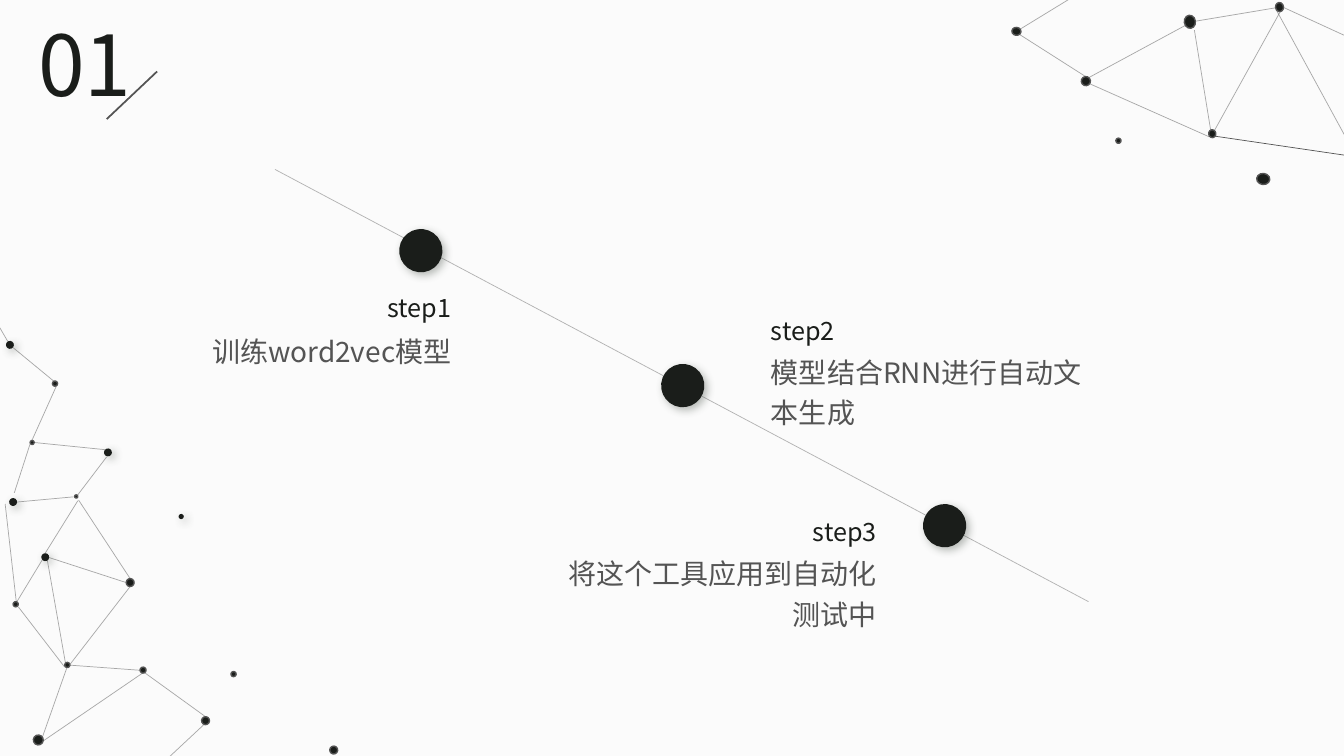
from lxml import etree
from pptx import Presentation
from pptx.dml.color import RGBColor
from pptx.enum.shapes import MSO_CONNECTOR, MSO_SHAPE
from pptx.enum.text import MSO_ANCHOR, MSO_AUTO_SIZE, PP_ALIGN
from pptx.oxml import parse_xml
from pptx.oxml.ns import qn
from pptx.util import Cm, Pt

PAPER = RGBColor(0xFB, 0xFB, 0xFB)
INK = RGBColor(0x1A, 0x1D, 0x1A)
GRAY = RGBColor(0x54, 0x54, 0x54)
FONT = "Noto Sans CJK SC"
SHADOW = (
    '<a:effectLst xmlns:a="http://schemas.openxmlformats.org/drawingml/2006/main">'
    '<a:outerShdw blurRad="76200" dist="38100" dir="2700000" algn="tl" rotWithShape="0">'
    '<a:srgbClr val="505950"><a:alpha val="40000"/></a:srgbClr>'
    '</a:outerShdw></a:effectLst>'
)

prs = Presentation()
prs.slide_width, prs.slide_height = Cm(33.87), Cm(19.05)
slide = prs.slides.add_slide(prs.slide_layouts[5])
slide.background.fill.solid()
slide.background.fill.fore_color.rgb = PAPER
shapes = slide.shapes


def add_line(x1, y1, x2, y2, width=0.5, opacity=100):
    line = shapes.add_connector(MSO_CONNECTOR.STRAIGHT, Cm(x1), Cm(y1), Cm(x2), Cm(y2))
    line.line.width = Pt(width)
    line.line.color.rgb = GRAY
    spPr = line._element.spPr
    if opacity < 100:
        color = spPr.find(".//" + qn("a:srgbClr"))
        etree.SubElement(color, qn("a:alpha"), val=str(opacity * 1000))
    etree.SubElement(spPr, qn("a:effectLst"))


def add_dot(x, y, w, h, rotation=186.2, shadow=False):
    """Draw a dark dot with either a soft shadow or a gray outline."""
    sp = shapes.add_shape(MSO_SHAPE.OVAL, Cm(x), Cm(y), Cm(w), Cm(h))
    sp.rotation = rotation
    sp.fill.solid()
    sp.fill.fore_color.rgb = INK
    if shadow:
        sp.line.fill.background()
        sp._element.spPr.append(parse_xml(SHADOW))
    else:
        sp.shadow.inherit = False
        sp.line.color.rgb = GRAY
        sp.line.width = Pt(1)


# Timeline with its three stops
add_line(6.93, 4.27, 27.43, 15.16, opacity=43)
for i, y in enumerate((5.77, 9.17, 12.7)):
    add_dot(10.06 + 6.6 * i, y, 1.09, 1.09, shadow=True)

# Network in the top right corner
add_line(34.09, 3.94, 30.61, 3.43)
right_links = [
    (30.15, 0.53, 32.13, 0.2), (34.77, 1.3, 32.33, 0.18),
    (34.24, 4.06, 32.18, 0.28), (32.26, 0.3, 30.61, 3.28),
    (30.51, 3.28, 30.1, 0.76), (27.43, 1.96, 30.02, 0.56),
    (27.46, 2.11, 30.48, 3.45), (25.68, 0.86, 27.36, 1.93),
    (25.7, 0.74, 27.58, -0.41),
]
right_dots = [
    (32.13, 0.08, 0.23, 0.2, 82), (30.45, 3.28, 0.2, 0.18, 82),
    (27.25, 1.93, 0.23, 0.23, 82), (29.82, 0.41, 0.33, 0.28, 82),
    (31.67, 4.37, 0.33, 0.28), (25.5, 0.69, 0.23, 0.2),
    (28.12, 3.48, 0.13, 0.13),
]

# Network along the left edge
left_links = [
    (0.86, 11.15, 2.64, 11.33), (0.33, 8.76, 1.35, 9.6),
    (1.42, 9.73, 0.79, 11.13), (0.76, 11.18, 0.36, 12.42),
    (0.43, 12.65, 1.85, 12.52), (1.14, 13.94, 1.96, 12.62),
    (0.13, 12.7, 0.41, 15.16), (1.07, 14.1, 0.36, 15.27),
    (1.19, 14.1, 1.65, 16.71), (3.28, 14.58, 1.98, 12.6),
    (1.63, 16.81, 0.46, 15.29), (1.07, 18.57, 1.68, 16.84),
    (1.24, 14.05, 3.18, 14.68), (1.96, 12.47, 2.69, 11.51),
    (3.28, 14.78, 1.75, 16.76), (1.75, 16.76, 3.53, 16.89),
    (3.63, 16.94, 5.18, 18.06), (3.58, 16.97, 1.09, 18.67),
    (-0.79, 6.91, 0.2, 8.61), (5.16, 18.24, 3.53, 19.76),
]
left_outlined = [
    (0.84, 18.52, 0.25), (1.32, 9.6, 0.13), (1.63, 16.69, 0.13),
    (3.18, 14.58, 0.2), (0.76, 11.1, 0.1), (1.88, 12.47, 0.08),
    (0.33, 15.16, 0.13), (3.53, 16.81, 0.15), (5.08, 18.06, 0.2),
    (8.31, 18.8, 0.2), (5.82, 16.92, 0.13),
]
left_shadowed = [
    (0.15, 8.59, 0.2), (0.23, 12.55, 0.2), (1.04, 13.94, 0.2),
    (4.5, 12.95, 0.13), (2.62, 11.3, 0.2),
]
for link in right_links + left_links:
    add_line(*link, opacity=50)
for dot in right_dots:
    add_dot(*dot)
for dots, shadow in ((left_outlined, False), (left_shadowed, True)):
    for x, y, d in dots:
        add_dot(x, y, d, d, shadow=shadow)

# Section number and step texts
add_line(3.96, 1.8, 2.69, 3, width=1.25)
number_format = {"size": Pt(60), "name": FONT, "bold": False}
label_format = {"size": Pt(18), "name": FONT}
detail_format = {"size": Pt(20), "name": FONT}
texts = [(shapes.title, "01", (0.71, 0.18, 2.9, 2.82), PP_ALIGN.JUSTIFY, 1, INK, number_format)]
steps = [
    ("step1", "训练word2vec模型", 11.63, PP_ALIGN.RIGHT, 7.24, 8.13, 1.19),
    ("step2", "模型结合RNN进行自动文本生成", 19.18, PP_ALIGN.LEFT, 7.82, 8.66, 2.21),
    ("step3", "将这个工具应用到自动化测试中", 22.35, PP_ALIGN.RIGHT, 12.88, 13.74, 2.31),
]
for label, detail, edge, align, label_y, detail_y, detail_h in steps:
    for text, y, w, h, spacing, color, fmt in (
        (label, label_y, 3.56, 1.02, 1, INK, label_format),
        (detail, detail_y, 8.92, detail_h, 1.2, GRAY, detail_format),
    ):
        x = edge - w if align == PP_ALIGN.RIGHT else edge
        box = shapes.add_textbox(0, 0, 0, 0)
        texts.append((box, text, (x, y, w, h), align, spacing, color, fmt))

for sp, text, place, align, spacing, color, fmt in texts:
    sp.left, sp.top, sp.width, sp.height = [Cm(v) for v in place]
    tf = sp.text_frame
    tf.word_wrap = True
    tf.auto_size = MSO_AUTO_SIZE.NONE
    tf.vertical_anchor = MSO_ANCHOR.TOP
    p = tf.paragraphs[0]
    p.alignment = align
    p.line_spacing = spacing
    r = p.add_run()
    r.text = text
    for name, value in fmt.items():
        setattr(r.font, name, value)
    r.font.color.rgb = color
    etree.SubElement(r._r.get_or_add_rPr(), qn("a:ea"), typeface=FONT)

prs.save("out.pptx")
